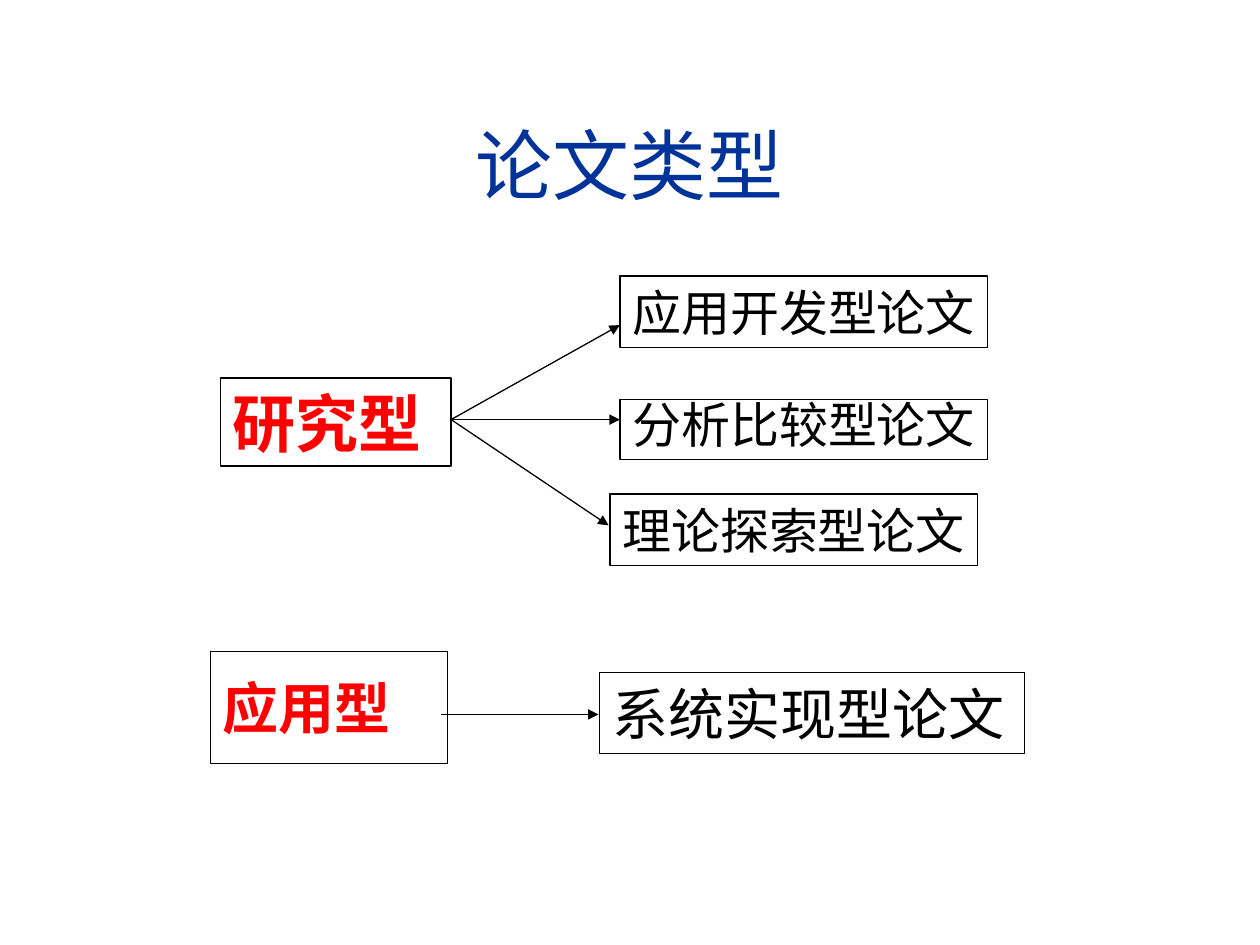
from dataclasses import dataclass

from lxml import etree
from pptx import Presentation
from pptx import util as u
from pptx.dml.color import RGBColor
from pptx.enum import shapes, text
from pptx.oxml.ns import qn

TOP, MID = text.MSO_ANCHOR.TOP, text.MSO_ANCHOR.MIDDLE


@dataclass(frozen=True)
class Theme:
    font: str = "Arial"
    title: RGBColor = RGBColor(0x00, 0x33, 0x99)
    kind: RGBColor = RGBColor(0xFF, 0x00, 0x00)
    ink: RGBColor = RGBColor(0x00, 0x00, 0x00)
    head: int = 44
    large: int = 36
    medium: int = 32
    small: int = 28
    line: float = 0.75


THEME = Theme()


@dataclass(frozen=True)
class Box:
    words: str
    left: float
    top: float
    width: float
    height: float
    size: int
    color: RGBColor = THEME.ink
    bold: bool = False
    wrap: bool = False
    anchor: text.MSO_ANCHOR = TOP
    pad: float = 0.05
    space: float = 0
    lead: float = 1.0


@dataclass(frozen=True)
class Arrow:
    x: float
    y: float
    to_x: float
    to_y: float


BOXES = [
    Box("研究型", 1.75, 3, 1.83, 0.7, THEME.large, THEME.kind, True, True, space=22.5),
    Box("应用型", 1.67, 5.17, 1.88, 0.89, THEME.medium, THEME.kind, True, True, MID, 0.18),
    Box("应用开发型论文", 4.92, 2.19, 2.92, 0.57, THEME.small),
    Box("分析比较型论文", 4.92, 3.17, 2.92, 0.48, THEME.small, space=7, lead=0.8),
    Box("理论探索型论文", 4.84, 3.92, 2.92, 0.57, THEME.small),
    Box("系统实现型论文", 4.76, 5.34, 3.37, 0.64, THEME.medium, anchor=MID),
]
FORK = (3.58, 3.33)
ARROWS = [
    Arrow(*FORK, 4.92, 2.58),
    Arrow(*FORK, 4.92, 3.33),
    Arrow(*FORK, 4.83, 4.17),
    Arrow(3.5, 5.67, 4.75, 5.67),
]
TITLE = Box("论文类型", 0.33, 0.67, 9.34, 1.25, THEME.head, THEME.title, wrap=True, anchor=MID)


def write(shape, box: Box, align: text.PP_ALIGN) -> None:
    frame = shape.text_frame
    frame.word_wrap = box.wrap
    frame.vertical_anchor = box.anchor
    frame.margin_left = frame.margin_right = u.Inches(0.1)
    frame.margin_top = frame.margin_bottom = u.Inches(box.pad)
    para = frame.paragraphs[0]
    para.text = box.words
    para.alignment = align
    para.space_before = u.Pt(box.space)
    para.line_spacing = box.lead
    para.font.name = THEME.font
    para.font.size = u.Pt(box.size)
    para.font.bold = box.bold
    para.font.color.rgb = box.color


def place(box: Box) -> list[u.Length]:
    return [u.Inches(n) for n in (box.left, box.top, box.width, box.height)]


def ink(line) -> None:
    line.color.rgb = THEME.ink
    line.width = u.Pt(THEME.line)


def draw_box(slide, box: Box) -> None:
    shape = slide.shapes.add_shape(shapes.MSO_SHAPE.RECTANGLE, *place(box))
    shape.shadow.inherit = False
    shape.fill.background()
    ink(shape.line)
    write(shape, box, text.PP_ALIGN.LEFT)


def draw_arrow(slide, arrow: Arrow) -> None:
    ends = [u.Inches(n) for n in (arrow.x, arrow.y, arrow.to_x, arrow.to_y)]
    link = slide.shapes.add_connector(shapes.MSO_CONNECTOR.STRAIGHT, *ends)
    ink(link.line)
    props = link._element.spPr
    etree.SubElement(props.find(qn("a:ln")), qn("a:tailEnd"), type="triangle")
    etree.SubElement(props, qn("a:effectLst"))


def main() -> None:
    deck = Presentation()
    deck.slide_width, deck.slide_height = u.Inches(10), u.Inches(7.5)
    slide = deck.slides.add_slide(deck.slide_layouts[6])
    write(slide.shapes.add_textbox(*place(TITLE)), TITLE, text.PP_ALIGN.CENTER)
    for box in BOXES:
        draw_box(slide, box)
    for arrow in ARROWS:
        draw_arrow(slide, arrow)
    deck.save("out.pptx")


if __name__ == "__main__":
    main()
